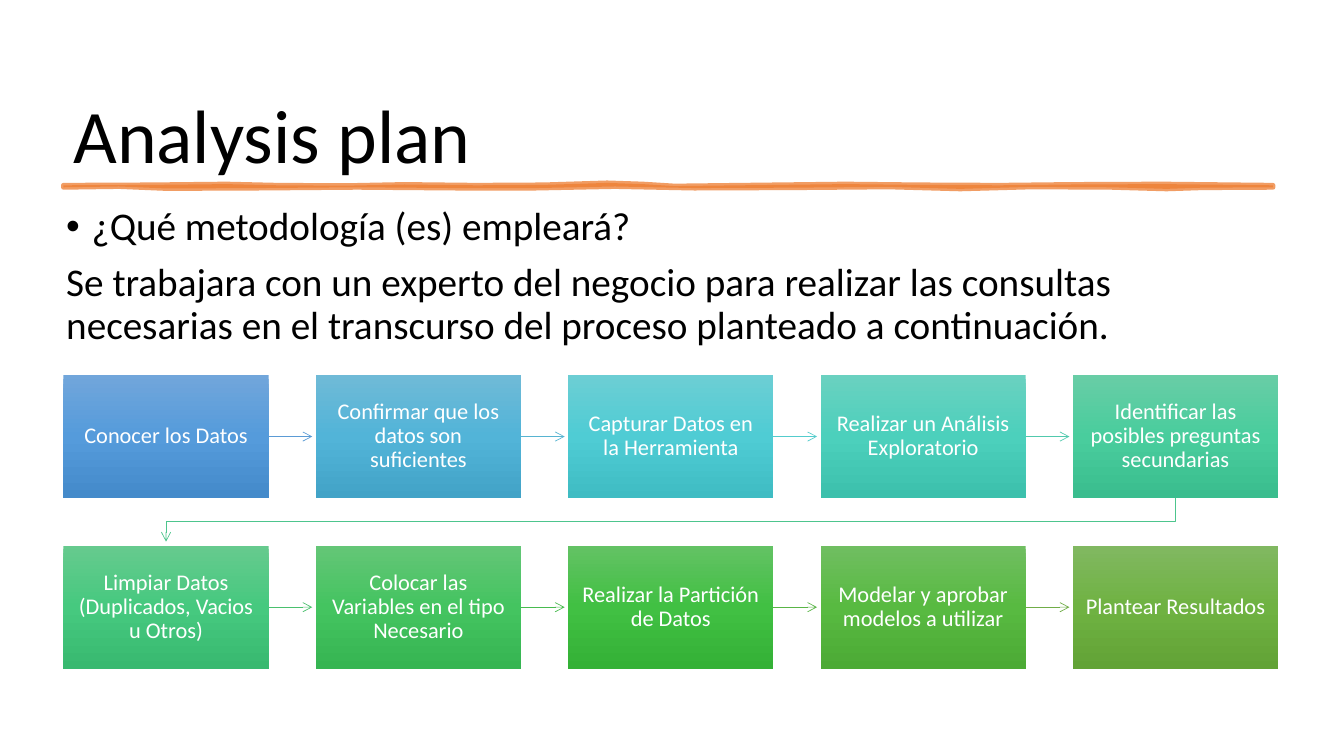
"""Build the analysis plan slide with its ten-step process."""
from copy import deepcopy
from dataclasses import dataclass

from pptx import Presentation
from pptx.dml.color import RGBColor
from pptx.enum.shapes import MSO_CONNECTOR, MSO_SHAPE
from pptx.enum.text import MSO_ANCHOR, MSO_AUTO_SIZE, PP_ALIGN
from pptx.oxml import parse_xml
from pptx.oxml.ns import nsdecls, qn
from pptx.util import Cm, Pt

FONT = "Calibri"
BLACK = RGBColor(0, 0, 0)
WHITE = RGBColor(255, 255, 255)
ORANGE = RGBColor(0xED, 0x7D, 0x31)

COLUMNS = 5
LEFT, TOP = 1.6, 9.45
COLUMN_PITCH, ROW_PITCH = 6.36, 4.3
BOX_WIDTH, BOX_HEIGHT = 5.17, 3.1
ARROW_LENGTH = 1.1
ELBOW_DROP = 0.59

UPPER_EDGE = [
    (1.6, 4.67), (3.8, 4.66), (5.7, 4.64), (7, 4.67), (8.7, 4.68), (10.2, 4.65),
    (12, 4.67), (13.7, 4.66), (15.3, 4.61), (16.2, 4.64), (17, 4.69), (18.7, 4.67),
    (21.3, 4.64), (23.2, 4.66), (25.2, 4.67), (27, 4.65), (29.3, 4.64), (32.08, 4.67),
]
LOWER_EDGE = [
    (32.08, 4.72), (30.3, 4.73), (29.4, 4.76), (28, 4.72), (26, 4.71), (24.2, 4.76),
    (22.4, 4.71), (20, 4.73), (17.5, 4.74), (15.5, 4.7), (13.5, 4.74), (11.5, 4.74),
    (9, 4.72), (6.5, 4.74), (4.2, 4.75), (3, 4.7), (1.6, 4.72),
]


@dataclass(frozen=True)
class Step:
    """A process box, its gradient from top to bottom and its outgoing arrow."""

    label: str
    gradient: tuple[str, str, str]
    arrow: str | None = None


STEPS = [
    Step("Conocer los Datos", ("71A6DB", "559BDB", "448ACA"), "5B9BD5"),
    Step("Confirmar que los datos son suficientes", ("6FBAD7", "52B4D8", "42A3C7"), "57B4D1"),
    Step("Capturar Datos en la Herramienta", ("6CCED4", "4FCCD4", "3FBCC3"), "54CCCD"),
    Step("Realizar un Análisis Exploratorio", ("6AD1C0", "4CD0BC", "3CC0AC"), "51C9AD"),
    Step("Identificar las posibles preguntas secundarias", ("68CDA6", "49CD9D", "3ABD8E"), "4DC58D"),
    Step("Limpiar Datos (Duplicados, Vacios u Otros)", ("66CA8E", "46C97F", "38B970"), "4AC06E"),
    Step("Colocar las Variables en el tipo Necesario", ("64C677", "44C460", "36B552"), "48BB4F"),
    Step("Realizar la Partición de Datos", ("63C264", "41C043", "34B136"), "59B546"),
    Step("Modelar y aprobar modelos a utilizar", ("70BE61", "58BA41", "4CAA35"), "70AD47"),
    Step("Plantear Resultados", ("81B861", "6FB242", "62A336")),
]


def write_text(frame, *lines: str, size: float, color: RGBColor = BLACK,
               align: PP_ALIGN = PP_ALIGN.LEFT, anchor: MSO_ANCHOR = MSO_ANCHOR.TOP,
               margin: float = 0.25, space_before: float = 0) -> None:
    """Write one paragraph per line with a shared format."""
    frame.word_wrap = True
    frame.auto_size = MSO_AUTO_SIZE.NONE
    frame.vertical_anchor = anchor
    frame.margin_left = frame.margin_right = Cm(margin)
    frame.margin_top = frame.margin_bottom = Cm(min(margin, 0.3) if margin > 0.25 else 0.13)
    frame.text = "\n".join(lines)
    for paragraph in frame.paragraphs:
        paragraph.alignment = align
        paragraph.line_spacing = 0.9
        paragraph.space_before = Pt(space_before)
        font = paragraph.runs[0].font
        font.name, font.size, font.color.rgb = FONT, Pt(size), color


def add_bullet(paragraph) -> None:
    """Give the paragraph a round bullet with a hanging indent."""
    properties = paragraph._p.get_or_add_pPr()
    properties.set("marL", str(Cm(0.64)))
    properties.set("indent", str(-Cm(0.64)))
    properties.append(parse_xml(f'<a:buFont {nsdecls("a")} typeface="Arial"/>'))
    properties.append(parse_xml(f'<a:buChar {nsdecls("a")} char="•"/>'))


def add_outline(slide, points: list[tuple[float, float]], close: bool):
    """Draw a freeform through points given in centimetres."""
    corners = [(Cm(x), Cm(y)) for x, y in points]
    builder = slide.shapes.build_freeform(*corners[0])
    builder.add_line_segments(corners[1:], close=close)
    shape = builder.convert_to_shape()
    shape.shadow.inherit = False
    return shape


def format_arrow(shape, color: str) -> None:
    """Make a thin line that ends in an open arrowhead."""
    shape.line.color.rgb = RGBColor.from_string(color)
    shape.line.width = Pt(0.5)
    shape.line._get_or_add_ln().append(parse_xml(f'<a:tailEnd {nsdecls("a")} type="arrow"/>'))


def add_underline(slide) -> None:
    """Draw the translucent brush stroke under the title."""
    stroke = add_outline(slide, UPPER_EDGE + LOWER_EDGE, close=True)
    stroke.fill.solid()
    stroke.fill.fore_color.rgb = ORANGE
    stroke.line.color.rgb = ORANGE
    stroke.line.width = Pt(3.5)
    for color in stroke._element.spPr.iter(qn("a:srgbClr")):
        color.append(parse_xml(f'<a:alpha {nsdecls("a")} val="75000"/>'))
    stroke.line._get_or_add_ln().append(parse_xml(f'<a:round {nsdecls("a")}/>'))


def add_step(slide, step: Step, x: float, y: float) -> None:
    """Draw a gradient box with its label."""
    box = slide.shapes.add_shape(
        MSO_SHAPE.RECTANGLE, Cm(x), Cm(y), Cm(BOX_WIDTH), Cm(BOX_HEIGHT))
    box.shadow.inherit = False
    box.line.fill.background()
    box.fill.gradient()
    box.fill.gradient_angle = 270
    stop_list = next(box._element.spPr.iter(qn("a:gsLst")))
    stop_list.append(deepcopy(stop_list[0]))
    for stop, position, color in zip(box.fill.gradient_stops, (0, 0.5, 1), step.gradient):
        stop.position = position
        stop.color.rgb = RGBColor.from_string(color)
    write_text(box.text_frame, step.label, size=16, color=WHITE, align=PP_ALIGN.CENTER,
               anchor=MSO_ANCHOR.MIDDLE, margin=0.3)


def add_straight_arrow(slide, color: str, x: float, y: float) -> None:
    """Draw the arrow to the next box in the row."""
    arrow = slide.shapes.add_connector(
        MSO_CONNECTOR.STRAIGHT, Cm(x), Cm(y), Cm(x + ARROW_LENGTH), Cm(y))
    format_arrow(arrow, color)
    arrow._element.spPr.append(parse_xml(f'<a:effectLst {nsdecls("a")}/>'))


def add_row_arrow(slide, color: str, x: float, y: float) -> None:
    """Draw the bent arrow from the end of a row to the start of the next."""
    first_x = LEFT + BOX_WIDTH / 2
    points = [(x, y), (x, y + ELBOW_DROP), (first_x, y + ELBOW_DROP), (first_x, y + ARROW_LENGTH)]
    arrow = add_outline(slide, points, close=False)
    arrow.fill.background()
    format_arrow(arrow, color)


def add_process(slide) -> None:
    """Lay the steps out in rows and link each to the next."""
    for index, step in enumerate(STEPS):
        row, column = divmod(index, COLUMNS)
        x, y = LEFT + column * COLUMN_PITCH, TOP + row * ROW_PITCH
        add_step(slide, step, x, y)
        if step.arrow and column < COLUMNS - 1:
            add_straight_arrow(slide, step.arrow, x + BOX_WIDTH, y + BOX_HEIGHT / 2)
        elif step.arrow:
            add_row_arrow(slide, step.arrow, x + BOX_WIDTH / 2, y + BOX_HEIGHT)


def main() -> None:
    """Build and save the slide."""
    presentation = Presentation()
    presentation.slide_width, presentation.slide_height = Cm(33.87), Cm(19.05)
    slide = presentation.slides.add_slide(presentation.slide_layouts[5])

    title = slide.shapes.title
    title.left, title.top, title.width, title.height = Cm(1.6), Cm(0.66), Cm(30.61), Cm(3.99)
    write_text(title.text_frame, "Analysis plan", size=54, anchor=MSO_ANCHOR.BOTTOM)
    add_underline(slide)

    method = slide.shapes.add_textbox(Cm(1.42), Cm(5.08), Cm(30.58), Cm(4.01))
    write_text(
        method.text_frame,
        "¿Qué metodología (es) empleará?",
        "Se trabajara con un experto del negocio para realizar las consultas "
        "necesarias en el transcurso del proceso planteado a continuación.",
        size=28, space_before=10)
    add_bullet(method.text_frame.paragraphs[0])

    add_process(slide)
    presentation.save("out.pptx")


main()
